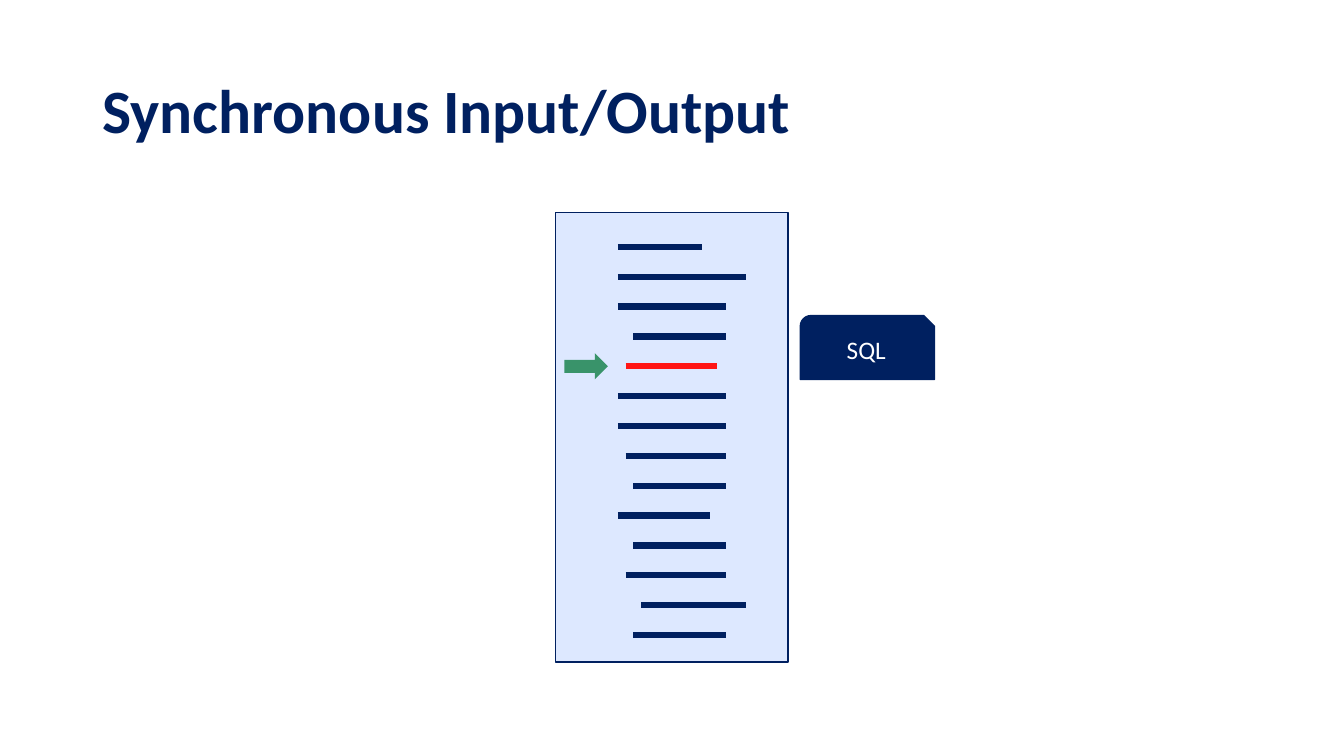
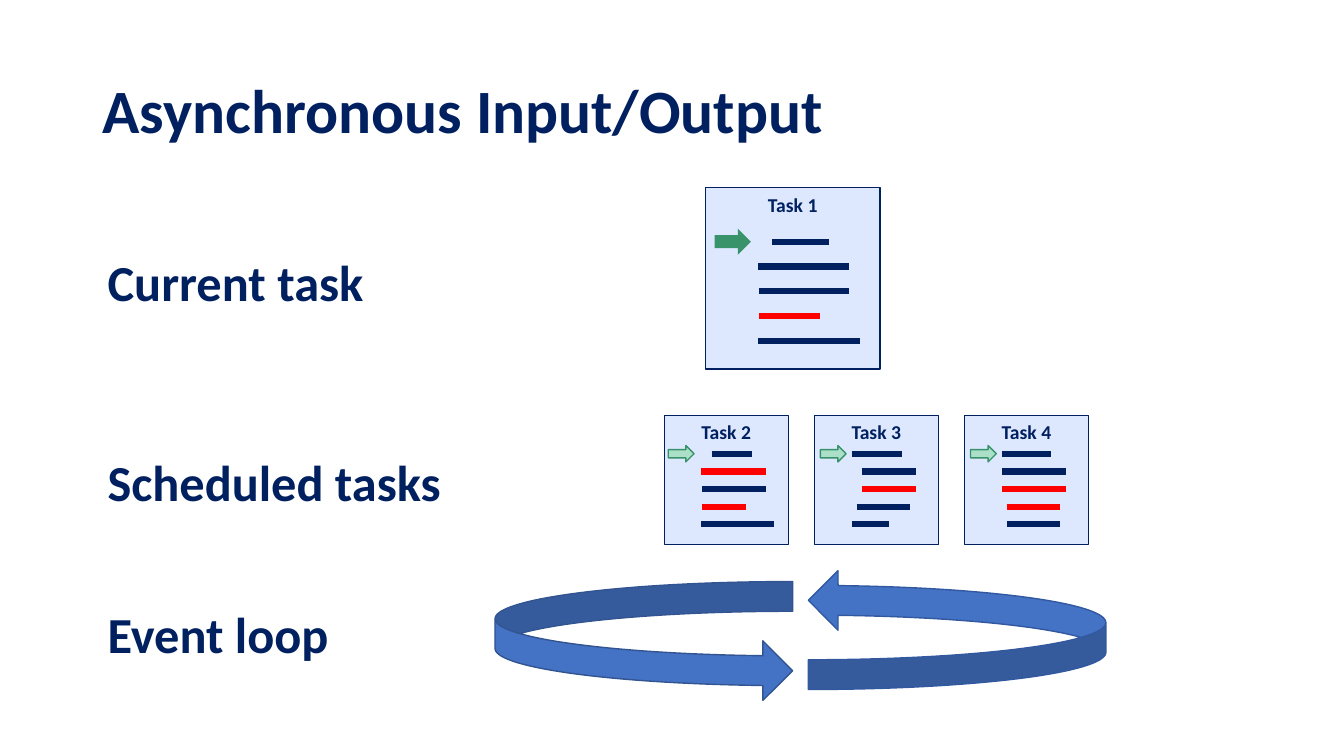
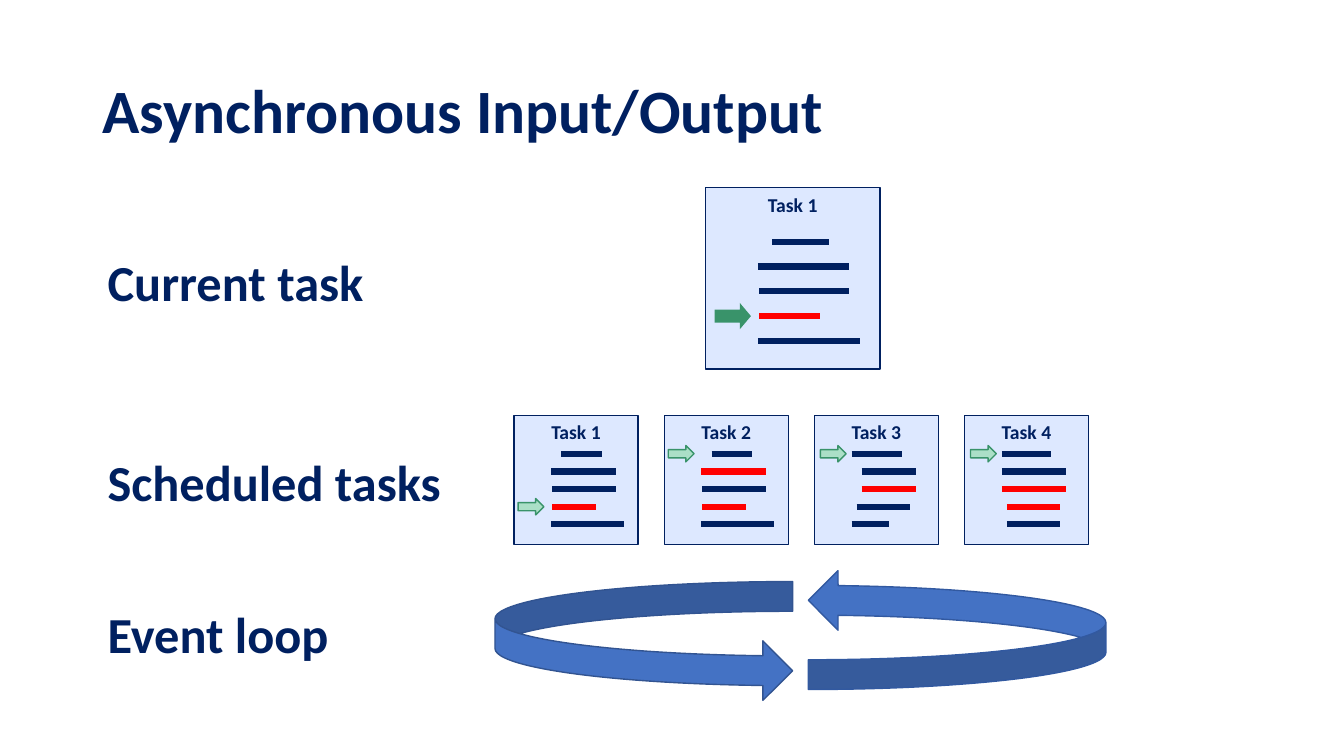
"""Build three slides that contrast synchronous and asynchronous input and output."""

from dataclasses import dataclass, replace
from typing import Any, NamedTuple

from lxml.etree import SubElement
from pptx import Presentation
from pptx.dml.color import RGBColor as Rgb
from pptx.enum.shapes import MSO_CONNECTOR as Link, MSO_SHAPE as Kind
from pptx.enum.text import MSO_ANCHOR as Anchor, MSO_AUTO_SIZE as Fit, PP_ALIGN as Align
from pptx.oxml.ns import qn
from pptx.shapes.autoshape import Shape
from pptx.slide import Slide
from pptx.util import Pt

NAVY = Rgb(0x00, 0x20, 0x60)
PALE = Rgb(0xDD, 0xE8, 0xFF)
WHITE = Rgb(0xFF, 0xFF, 0xFF)
RED = Rgb(0xFF, 0x00, 0x00)
CORAL = Rgb(0xFF, 0x15, 0x15)
GREEN = Rgb(0x39, 0x93, 0x6A)
MINT = Rgb(0xAB, 0xDF, 0xC7)
BLUE = Rgb(0x44, 0x72, 0xC4)
DUSK = Rgb(0x32, 0x54, 0x91)
STEEL = Rgb(0x32, 0x59, 0xA0)

TITLE = {"size": Pt(44), "bold": True, "name": "Calibri"}
LABEL = TITLE | {"size": Pt(36)}
NAME = TITLE | {"size": Pt(14)}
PLAIN = TITLE | {"size": Pt(18), "bold": False}


class Box(NamedTuple):
    """Place and size in points."""

    left: float
    top: float
    wide: float
    high: float


class Row(NamedTuple):
    """Code line from start to end, hot when it waits for data."""

    start: float
    end: float
    hot: bool = False


@dataclass(frozen=True)
class Mark:
    """Arrow that points at one row of a page."""

    row: int
    left: float
    wide: float
    high: float
    fill: Rgb = MINT
    edge: Rgb | None = GREEN
    tip: float = 0.5


@dataclass(frozen=True)
class Page:
    """Sheet of code lines with its arrow."""

    box: Box
    rows: tuple[Row, ...]
    mark: Mark
    first: float
    step: float
    name: str = ""
    hot: Rgb = RED
    scale: float = 1


class Label(NamedTuple):
    """Heading at the left of a band."""

    text: str
    top: float
    wide: float


FIRST = (Row(33.8, 62.6), Row(26.6, 72.7), Row(27.3, 72.7), Row(27.3, 58.3, True), Row(26.6, 78.4))
SECOND = (FIRST[0], Row(26.6, 72.7, True), *FIRST[2:])
THIRD = (Row(26.6, 62.6), Row(33.8, 72.7), Row(33.8, 72.7, True), Row(30.2, 68.4), Row(26.6, 53.2))
FOURTH = (Row(26.6, 62), Row(26.6, 72.7), Row(26.6, 72.7, True), Row(30.2, 68.4, True), Row(30.2, 68.4))

INDENT = (0, 0, 0, 2, 1, 0, 0, 1, 2, 0, 2, 1, 3, 2)
ENDS = (105.1, 136.1, 121.7, 121.7, 115.2, 121.7, 121.7, 121.7, 121.7, 110.2, 121.7, 121.7, 136.1, 121.7)
WAIT = 4
CODE = Page(
    Box(396.7, 152, 166.3, 321),
    tuple(Row(44.6 + 5.6 * tab, end, i == WAIT) for i, (tab, end) in enumerate(zip(INDENT, ENDS))),
    Mark(WAIT, 6.5, 31, 18.7, GREEN, None),
    24.4,
    21.32,
    hot=CORAL,
)

LABELS = (
    Label("Current task", 175.7, 199.4),
    Label("Scheduled tasks", 319, 255.6),
    Label("Event loop", 427, 174.2),
)


def style(font: Any, form: dict[str, Any], tint: Rgb) -> None:
    """Apply format values and a colour to a font."""
    for key, value in form.items():
        setattr(font, key, value)
    font.color.rgb = tint


def draw(shapes: Any, kind: Kind, box: Box, fill: Rgb, edge: Rgb | None) -> Shape:
    """Add a flat preset shape."""
    shape = shapes.add_shape(kind, *map(Pt, box))
    shape.shadow.inherit = False
    shape.fill.solid()
    shape.fill.fore_color.rgb = fill
    if edge is None:
        shape.line.fill.background()
    else:
        shape.line.color.rgb = edge
        shape.line.width = Pt(1)
    return shape


def write(shape: Shape, text: str, form: dict[str, Any], tint: Rgb, anchor: Anchor) -> None:
    """Put centred text in a shape."""
    frame = shape.text_frame
    frame.vertical_anchor = anchor
    part = frame.paragraphs[0]
    part.alignment = Align.CENTER
    part.text = text
    style(part.runs[0].font, form, tint)


def rule(shapes: Any, left: float, right: float, top: float, tint: Rgb) -> None:
    """Add a thick level line."""
    line = shapes.add_connector(Link.STRAIGHT, *map(Pt, (left, top, right, top)))
    line.line.color.rgb = tint
    line.line.width = Pt(4.5)
    SubElement(line.element.spPr, qn("a:effectLst"))


def sheet(slide: Slide, page: Page) -> None:
    """Draw a page as one group."""
    shapes = slide.shapes.add_group_shape().shapes
    box, mark = page.box, page.mark
    frame = draw(shapes, Kind.RECTANGLE, box, PALE, NAVY)
    if page.name:
        write(frame, page.name, NAME, NAVY, Anchor.TOP)
    tops = [box.top + page.scale * (page.first + page.step * i) for i in range(len(page.rows))]
    for row, top in zip(page.rows, tops):
        start, end = (box.left + page.scale * x for x in row[:2])
        rule(shapes, start, end, top, page.hot if row.hot else NAVY)
    spot = Box(box.left + mark.left, tops[mark.row] - mark.high / 2, mark.wide, mark.high)
    arrow = draw(shapes, Kind.RIGHT_ARROW, spot, mark.fill, mark.edge)
    arrow.adjustments[1] = mark.tip


def task(slot: int, rows: tuple[Row, ...], row: int = 0, left: float = 4.3) -> Page:
    """Return the small page of a numbered task."""
    box = Box(367.2 + 107.25 * (slot - 1), 296.6, 88.6, 92.2)
    return Page(box, rows, Mark(row, left, 18.4, 11.7), 27.5, 12.6, f"Task {slot}")


def begin(deck: Any, text: str) -> Slide:
    """Add a slide with its title."""
    slide = deck.slides.add_slide(deck.slide_layouts[5])
    title = slide.shapes.title
    for key, value in zip(("left", "top", "width", "height"), (66, 28.8, 828, 104.4)):
        setattr(title, key, Pt(value))
    title.text_frame.vertical_anchor = Anchor.MIDDLE
    part = title.text_frame.paragraphs[0]
    part.alignment = Align.LEFT
    part.line_spacing = 0.9
    part.text = text
    style(part.runs[0].font, TITLE, NAVY)
    return slide


def head(slide: Slide, label: Label) -> None:
    """Add the heading of a band."""
    box = slide.shapes.add_textbox(*map(Pt, (69.8, label.top, label.wide, 51)))
    frame = box.text_frame
    frame.word_wrap = False
    frame.auto_size = Fit.SHAPE_TO_FIT_TEXT
    frame.text = label.text
    style(frame.paragraphs[0].runs[0].font, LABEL, NAVY)


def loop(slide: Slide) -> None:
    """Draw the two curved arrows of the event loop."""
    draw(slide.shapes, Kind.CURVED_RIGHT_ARROW, Box(353.6, 415.4, 212.6, 85), BLUE, DUSK)
    back = draw(slide.shapes, Kind.CURVED_LEFT_ARROW, Box(577.4, 407.5, 212.6, 85), BLUE, STEEL)
    back.element.spPr.find(qn("a:xfrm")).set("flipV", "1")


def tasks(deck: Any, mark: Mark, queue: tuple[Page, ...]) -> None:
    """Add a slide with the current task, the queue and the loop."""
    slide = begin(deck, "Asynchronous Input/Output")
    loop(slide)
    now = replace(task(1, FIRST), box=Box(504, 134, 124.6, 129.6), mark=mark, scale=1.406)
    for page in (now, *queue):
        sheet(slide, page)
    for label in LABELS:
        head(slide, label)


def main() -> None:
    """Build and save the deck."""
    deck = Presentation()
    deck.slide_width, deck.slide_height = Pt(960), Pt(540)

    slide = begin(deck, "Synchronous Input/Output")
    sheet(slide, CODE)
    query = draw(slide.shapes, Kind.SNIP_ROUND_RECTANGLE, Box(571.7, 225.4, 95.8, 45.6), NAVY, NAVY)
    write(query, "SQL", PLAIN, WHITE, Anchor.MIDDLE)

    mark = Mark(0, 6.5, 25.9, 18.7, GREEN, None)
    queue = (task(2, SECOND, left=2.9), task(3, THIRD), task(4, FOURTH))
    tasks(deck, mark, queue)
    tasks(deck, replace(mark, row=3, tip=0.42), (task(1, FIRST, 3, 2.9), *queue))

    deck.save("out.pptx")


if __name__ == "__main__":
    main()
